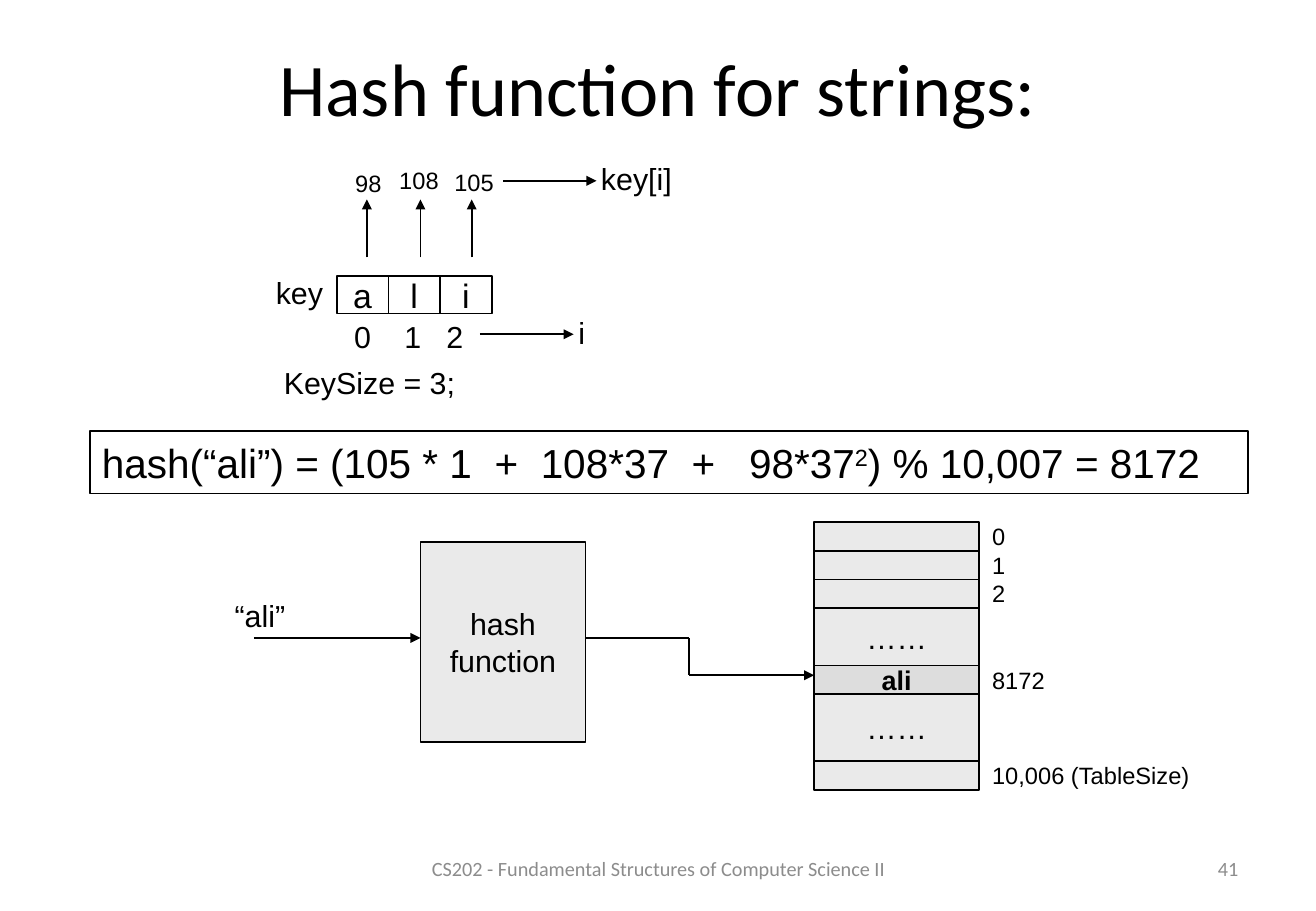
from itertools import pairwise

from lxml.etree import SubElement
from pptx import Presentation
from pptx.dml.color import RGBColor
from pptx.enum.shapes import MSO_CONNECTOR, MSO_SHAPE
from pptx.enum.text import MSO_ANCHOR, PP_ALIGN
from pptx.oxml.ns import qn
from pptx.util import Cm, Pt

BLACK = RGBColor(0x00, 0x00, 0x00)
GRAY = RGBColor(0x8C, 0x8C, 0x8C)
CELL_FILL = RGBColor(0xEA, 0xEA, 0xEA)
FOUND_FILL = RGBColor(0xDD, 0xDD, 0xDD)


def write(para, text, size=18, font="Arial", color=BLACK, bold=False, spacing=0, baseline=0):
    for number, line in enumerate(text.split("\n")):
        if number:
            para.add_line_break()
        span = para.add_run()
        span.text = line
        span.font.size = Pt(size)
        span.font.name = font
        span.font.bold = bold
        span.font.color.rgb = color
        properties = span._r.get_or_add_rPr()
        if spacing:
            properties.set("spc", str(round(spacing * 100)))
        if baseline:
            properties.set("baseline", str(baseline * 1000))


class SlideBuilder:
    def __init__(self, page):
        self.page = page
        self.line_width = Pt(1)

    def fill_text(self, box, text, align, anchor, wrap, **style):
        frame = box.text_frame
        frame.word_wrap = wrap
        frame.vertical_anchor = anchor
        para = frame.paragraphs[0]
        para.alignment = align
        if text:
            write(para, text, **style)
        return para

    def label(self, text, left, top, width, height=1.04, align=PP_ALIGN.CENTER,
              anchor=MSO_ANCHOR.TOP, **style):
        box = self.page.shapes.add_textbox(Cm(left), Cm(top), Cm(width), Cm(height))
        return self.fill_text(box, text, align, anchor, True, **style)

    def cell(self, text, left, top, width, height, fill=None, align=PP_ALIGN.CENTER,
             wrap=False, **style):
        box = self.page.shapes.add_shape(
            MSO_SHAPE.RECTANGLE, Cm(left), Cm(top), Cm(width), Cm(height))
        box.shadow.inherit = False
        box.line.color.rgb = BLACK
        box.line.width = self.line_width
        if fill is None:
            box.fill.background()
        else:
            box.fill.solid()
            box.fill.fore_color.rgb = fill
        return self.fill_text(box, text, align, MSO_ANCHOR.MIDDLE, wrap, **style)

    def path_line(self, *points):
        for start, end in pairwise(points):
            line = self.page.shapes.add_connector(
                MSO_CONNECTOR.STRAIGHT, *map(Cm, start), *map(Cm, end))
            line.line.color.rgb = BLACK
            line.line.width = self.line_width
            if end == points[-1]:
                SubElement(line.line._get_or_add_ln(), qn("a:tailEnd"), type="triangle")
            SubElement(line._element.spPr, qn("a:effectLst"))


def draw_key(builder):
    letters = [("a", "98", 7.70, 3.40, 7.67, 7.58),
               ("l", "108", 8.76, 3.35, 8.79, 8.63),
               ("i", "105", 9.91, 3.38, 9.86, 9.51)]
    cell_width = 1.08
    for index, (letter, code, code_x, code_top, arrow_x, index_x) in enumerate(letters):
        builder.cell(letter, 7.04 + index * cell_width, 5.77, cell_width, 0.79, size=20)
        builder.path_line((arrow_x, 5.38), (arrow_x, 4.17))
        builder.label(code, code_x - 0.9, code_top, 1.8, 0.86, size=14)
        builder.label(str(index), index_x - 0.5, 6.53, 1)
    builder.label("key", 5.31, 5.61, 1.9)
    builder.label("KeySize = 3;", 5.47, 7.49, 4.51)
    builder.path_line((10.03, 6.99), (11.99, 6.99))
    builder.label("i", 11.66, 6.45, 1)
    builder.path_line((10.52, 3.78), (12.47, 3.78))
    builder.label("key[i]", 12.1, 3.23, 2.41)


def draw_formula(builder):
    formula = builder.cell("", 1.88, 9.02, 24.21, 1.3, align=PP_ALIGN.LEFT, wrap=True)
    space_width = 6.67
    for text, style in [("hash(“ali”) = (105 * 1", {}),
                        (" ", {"spacing": space_width}),
                        ("+", {}),
                        (" ", {"spacing": space_width}),
                        ("108*37", {}),
                        (" ", {"spacing": space_width}),
                        ("+", {}),
                        (" ", {"spacing": 2 * space_width}),
                        ("98*37", {}),
                        ("2", {"baseline": 30}),
                        (") % 10,007 = 8172", {})]:
        write(formula, text, size=24, **style)


def draw_table(builder):
    plain = {"fill": CELL_FILL}
    found = {"fill": FOUND_FILL, "size": 16, "bold": True}
    rows = [("", 0.6, "0", plain),
            ("", 0.6, "1", plain),
            ("", 0.6, "2", plain),
            ("……", 1.2, "", plain),
            ("ali", 0.6, "8172", found),
            ("……", 1.4, "", plain),
            ("", 0.6, "10,006 (TableSize)", plain)]
    top = 10.92
    for text, height, position, style in rows:
        builder.cell(text, 17.02, top, 3.45, height, **style)
        if position:
            builder.label(position, 20.49, top - 0.13, 5.2, 0.86,
                          align=PP_ALIGN.LEFT, size=14)
        top += height


def draw_lookup(builder):
    builder.cell("hash\nfunction", 8.79, 11.33, 3.45, 4.19, fill=CELL_FILL)
    draw_table(builder)
    builder.path_line((5.31, 13.34), (8.79, 13.34))
    builder.path_line((12.24, 13.34), (14.4, 13.34), (14.4, 14.12), (17.02, 14.12))
    builder.label("“ali”", 4.45, 12.37, 1.97)


def main():
    deck = Presentation()
    deck.slide_width = Cm(27.51)
    deck.slide_height = Cm(19.05)
    builder = SlideBuilder(deck.slides.add_slide(deck.slide_layouts[6]))
    middle = {"anchor": MSO_ANCHOR.MIDDLE, "font": "Calibri"}
    footer = middle | {"size": 12, "color": GRAY}
    builder.label("Hash function for strings:", 1.37, 0.64, 24.77, 2.34, size=44, **middle)
    draw_key(builder)
    draw_formula(builder)
    draw_lookup(builder)
    builder.label("CS202 - Fundamental Structures of Computer Science II",
                  8.69, 17.65, 10.16, 1.02, **footer)
    builder.label("41", 19.71, 17.65, 6.43, 1.02, align=PP_ALIGN.RIGHT, **footer)
    deck.save("out.pptx")


if __name__ == "__main__":
    main()
